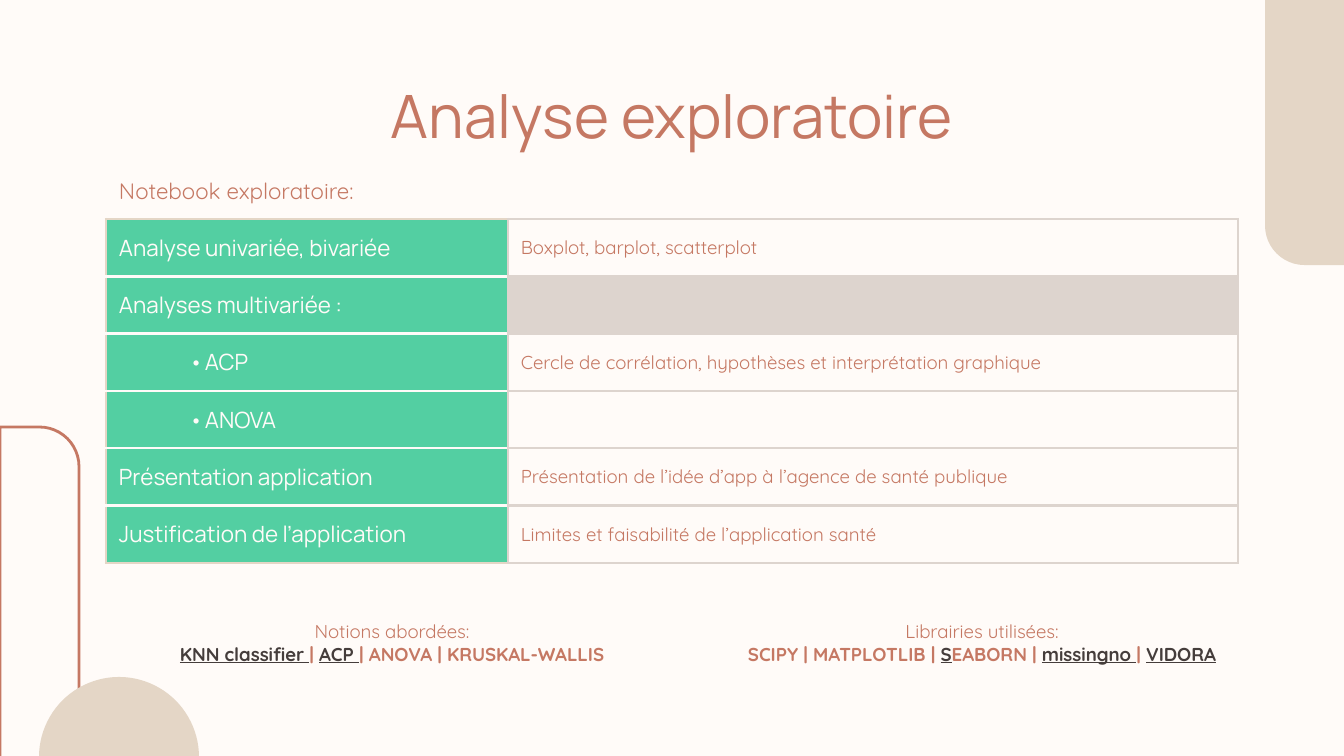
"""Build the exploratory analysis slide with its table and two topic lists."""
from dataclasses import dataclass
from typing import NamedTuple

from lxml.etree import SubElement
from pptx import Presentation
from pptx.dml.color import RGBColor
from pptx.enum.shapes import MSO_SHAPE
from pptx.enum.text import MSO_ANCHOR, PP_ALIGN
from pptx.oxml.ns import qn
from pptx.util import Emu, Pt

EMU_PER_PIXEL = 6804


@dataclass(frozen=True)
class Theme:
    paper: str = "FFFBF8"
    sand: str = "E4D6C6"
    clay: str = "C57863"
    green: str = "53CFA2"
    grey: str = "DDD4CE"
    ink: str = "453D3B"
    heading_font: str = "Manrope"
    body_font: str = "Quicksand"
    title_size: int = 32
    label_size: int = 12
    detail_size: int = 10
    line_width: float = 1.5


THEME = Theme()


class Box(NamedTuple):
    left: int
    top: int
    width: int
    height: int


class Decoration(NamedTuple):
    kind: MSO_SHAPE
    box: Box
    adjustments: tuple[float, ...]
    rotation: int = 0
    filled: bool = True


class Step(NamedTuple):
    label: str
    detail: str = ""
    bulleted: bool = False
    shaded: bool = False


class Topic(NamedTuple):
    text: str
    linked: bool = False


class TopicList(NamedTuple):
    box: Box
    heading: str
    topics: tuple[Topic, ...]


DECORATIONS = (
    Decoration(MSO_SHAPE.ROUND_1_RECTANGLE, Box(1265, 0, 79, 265), (0.5,), 180),
    Decoration(MSO_SHAPE.ROUND_1_RECTANGLE, Box(0, 427, 79, 352), (0.5,), filled=False),
    Decoration(MSO_SHAPE.PIE, Box(39, 677, 160, 160), (54, 162), 90),
)
TITLE_BOX = Box(106, 66, 1132, 85)
SUBTITLE_BOX = Box(106, 164, 1132, 54)
TABLE_BOX = Box(106, 219, 1132, 344)
LABEL_WIDTH = 402
BULLET_LEFT, BULLET_GAP = 86, 16
INSET = 13

STEPS = (
    Step("Analyse univariée, bivariée", "Boxplot, barplot, scatterplot"),
    Step("Analyses multivariée :", shaded=True),
    Step("ACP", "Cercle de corrélation, hypothèses et interprétation graphique", bulleted=True),
    Step("ANOVA", bulleted=True),
    Step("Présentation application", "Présentation de l’idée d’app à l’agence de santé publique"),
    Step("Justification de l’application", "Limites et faisabilité de l’application santé"),
)
TOPIC_LISTS = (
    TopicList(Box(148, 607, 488, 67), "Notions abordées:", (
        Topic("KNN classifier ", True), Topic("| "), Topic("ACP ", True),
        Topic("| ANOVA | KRUSKAL-WALLIS"))),
    TopicList(Box(708, 607, 548, 67), "Librairies utilisées:", (
        Topic("SCIPY | MATPLOTLIB | "), Topic("S", True), Topic("EABORN | "),
        Topic("missingno ", True), Topic("| "), Topic("VIDORA", True))),
)


def px(length: int) -> Emu:
    return Emu(length * EMU_PER_PIXEL)


def place(box: Box) -> tuple[Emu, ...]:
    return tuple(px(length) for length in box)


def paint(fill, color: str) -> None:
    fill.solid()
    fill.fore_color.rgb = RGBColor.from_string(color)


def write(para, text: str, *, font: str = THEME.body_font, size: int = THEME.detail_size,
          color: str = THEME.clay, bold: bool = False, underline: bool = False) -> None:
    span = para.add_run()
    span.text = text
    span.font.name = font
    span.font.size = Pt(size)
    span.font.bold = bold
    span.font.underline = underline
    span.font.color.rgb = RGBColor.from_string(color)


def add_decoration(page, decoration: Decoration) -> None:
    shape = page.shapes.add_shape(decoration.kind, *place(decoration.box))
    shape.shadow.inherit = False
    shape.rotation = decoration.rotation
    for index, value in enumerate(decoration.adjustments):
        shape.adjustments[index] = value
    if decoration.filled:
        paint(shape.fill, THEME.sand)
        shape.line.fill.background()
    else:
        shape.fill.background()
        paint(shape.line.fill, THEME.clay)
        shape.line.width = Pt(THEME.line_width)


def add_text_box(page, box: Box, align: PP_ALIGN):
    frame = page.shapes.add_textbox(*place(box)).text_frame
    frame.word_wrap = True
    frame.margin_left = frame.margin_right = px(INSET)
    frame.margin_top = frame.margin_bottom = px(INSET)
    para = frame.paragraphs[0]
    para.alignment = align
    return para


def set_borders(cell, **colors: str) -> None:
    properties = cell._tc.get_or_add_tcPr()
    for side in "LRTB":
        line = SubElement(properties, qn(f"a:ln{side}"), w=str(Pt(THEME.line_width)))
        fill = SubElement(line, qn("a:solidFill"))
        SubElement(fill, qn("a:srgbClr"), val=colors.get(side, THEME.grey))


def set_bullet(para) -> None:
    properties = para._p.get_or_add_pPr()
    properties.set("marL", str(px(BULLET_LEFT)))
    properties.set("indent", str(px(-BULLET_GAP)))
    SubElement(properties, qn("a:buFont"), typeface=THEME.heading_font)
    SubElement(properties, qn("a:buChar"), char="•")


def prepare_cell(cell):
    cell.vertical_anchor = MSO_ANCHOR.MIDDLE
    cell.margin_left = cell.margin_right = px(INSET)
    cell.margin_top = cell.margin_bottom = 0
    return cell.text_frame.paragraphs[0]


def add_steps_table(page, steps: tuple[Step, ...]) -> None:
    table = page.shapes.add_table(len(steps), 2, *place(TABLE_BOX)).table
    table.first_row = table.horz_banding = False
    table.columns[0].width = px(LABEL_WIDTH)
    table.columns[1].width = px(TABLE_BOX.width - LABEL_WIDTH)
    for index, step in enumerate(steps):
        label, detail = table.cell(index, 0), table.cell(index, 1)
        set_borders(label, L=THEME.sand,
                    T=THEME.sand if index == 0 else THEME.paper,
                    B=THEME.sand if index == len(steps) - 1 else THEME.paper)
        set_borders(detail)
        paint(label.fill, THEME.green)
        paint(detail.fill, THEME.grey if step.shaded else THEME.paper)
        para = prepare_cell(label)
        if step.bulleted:
            set_bullet(para)
        write(para, step.label, font=THEME.heading_font, size=THEME.label_size, color=THEME.paper)
        para = prepare_cell(detail)
        if step.detail:
            write(para, step.detail)


def add_topic_list(page, topic_list: TopicList) -> None:
    para = add_text_box(page, topic_list.box, PP_ALIGN.CENTER)
    write(para, topic_list.heading)
    para.add_line_break()
    for topic in topic_list.topics:
        write(para, topic.text, bold=True, underline=topic.linked,
              color=THEME.ink if topic.linked else THEME.clay)


def main() -> None:
    deck = Presentation()
    deck.slide_width, deck.slide_height = px(1344), px(756)
    page = deck.slides.add_slide(deck.slide_layouts[6])
    paint(page.background.fill, THEME.paper)
    for decoration in DECORATIONS:
        add_decoration(page, decoration)
    write(add_text_box(page, TITLE_BOX, PP_ALIGN.CENTER), "Analyse exploratoire",
          font=THEME.heading_font, size=THEME.title_size)
    write(add_text_box(page, SUBTITLE_BOX, PP_ALIGN.LEFT), "Notebook exploratoire:",
          size=THEME.label_size)
    add_steps_table(page, STEPS)
    for topic_list in TOPIC_LISTS:
        add_topic_list(page, topic_list)
    deck.save("out.pptx")


if __name__ == "__main__":
    main()
